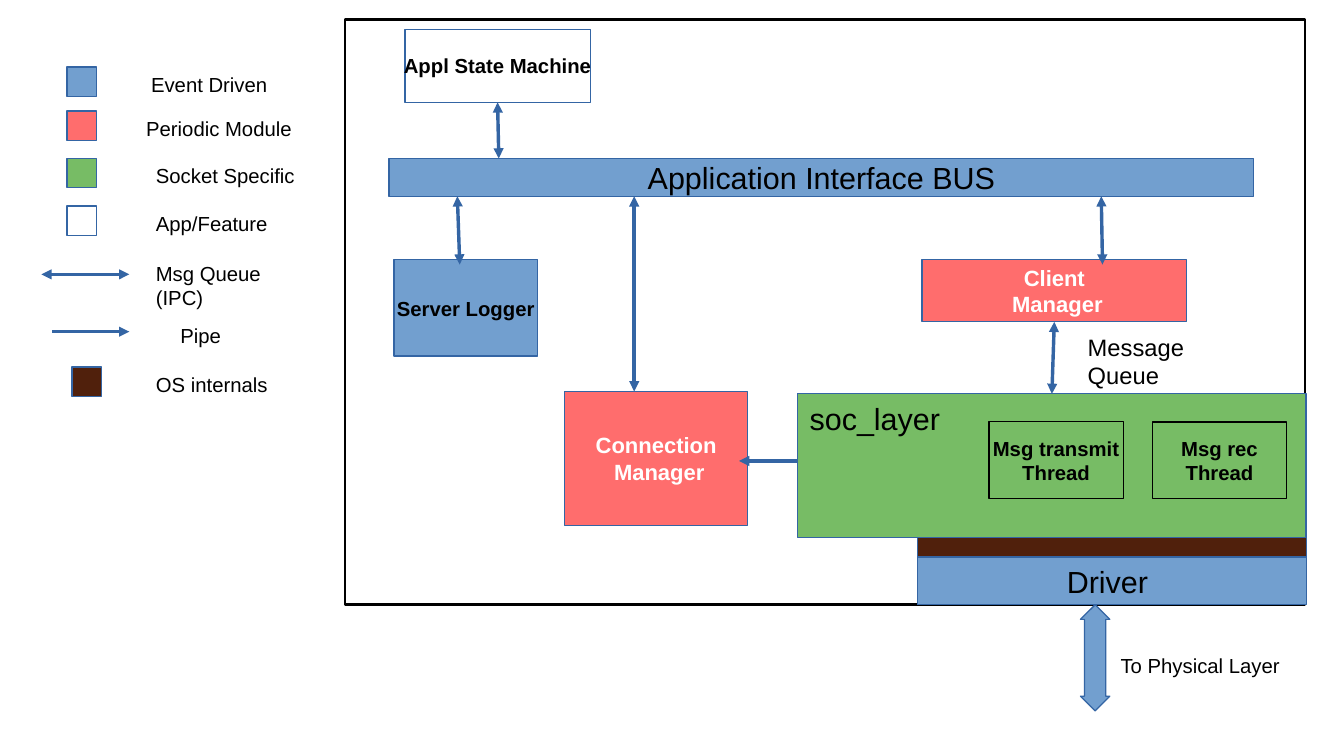
from lxml import etree
from pptx import Presentation
from pptx.dml.color import RGBColor
from pptx.enum import shapes, text
from pptx.oxml.ns import qn
from pptx.util import Inches, Pt

BLUE = RGBColor(0x72, 0x9F, 0xCF)
EDGE = RGBColor(0x34, 0x65, 0xA4)
RED = RGBColor(0xFF, 0x6D, 0x6D)
GREEN = RGBColor(0x77, 0xBC, 0x65)
BROWN = RGBColor(0x50, 0x20, 0x0C)
WHITE = RGBColor(0xFF, 0xFF, 0xFF)
BLACK = RGBColor(0, 0, 0)
RECT = shapes.MSO_SHAPE.RECTANGLE
CENTER, LEFT = text.PP_ALIGN.CENTER, text.PP_ALIGN.LEFT
MIDDLE, TOP = text.MSO_ANCHOR.MIDDLE, text.MSO_ANCHOR.TOP


def write(sp, words, size, color=BLACK, bold=False, align=LEFT, anchor=TOP):
    """Fill a shape's text frame, one paragraph per line of words."""
    tf = sp.text_frame
    tf.text = words
    tf.word_wrap = align == LEFT
    tf.vertical_anchor = anchor
    for p in tf.paragraphs:
        p.alignment = align
        for r in p.runs:
            r.font.name = "Arial"
            r.font.size = Pt(size)
            r.font.bold = bold
            r.font.color.rgb = color


def add_block(s, box, x, y, w, h, fill, edge=EDGE, width=0, kind=RECT):
    """Add a filled shape at an offset from the corner of the box."""
    sp = s.shapes.add_shape(kind, Inches(box[0] + x), Inches(box[1] + y), Inches(w), Inches(h))
    sp.shadow.inherit = False
    sp.fill.solid()
    sp.fill.fore_color.rgb = fill
    sp.line.color.rgb = edge
    sp.line.width = Pt(width)
    return sp


def add_module(s, box, x, y, w, h, fill, words, size=12, color=BLACK, bold=True, edge=EDGE, width=0):
    """Add a block with centred text."""
    sp = add_block(s, box, x, y, w, h, fill, edge, width)
    write(sp, words, size, color, bold, CENTER, MIDDLE)
    return sp


def add_label(s, box, x, y, w, h, words, size=12):
    """Add a plain wrapped text box."""
    sp = s.shapes.add_textbox(Inches(box[0] + x), Inches(box[1] + y), Inches(w), Inches(h))
    write(sp, words, size)


def add_arrow(s, box, x1, y1, x2, y2, both=True):
    """Add a thin straight arrow, pointed at one or both ends."""
    cx = s.shapes.add_connector(shapes.MSO_CONNECTOR.STRAIGHT, Inches(box[0] + x1), Inches(box[1] + y1),
                                Inches(box[0] + x2), Inches(box[1] + y2))
    cx.line.color.rgb = EDGE
    cx.line.width = Pt(0)
    ln = cx.line._get_or_add_ln()
    for end in ("headEnd", "tailEnd") if both else ("tailEnd",):
        etree.SubElement(ln, qn("a:" + end), type="triangle")
    etree.SubElement(cx._element.spPr, qn("a:effectLst"))
    return cx


def add_legend(s, box):
    """Explain the fill colours and the arrows."""
    for x, y, fill, label_x, words in (
        (0.21, 0, BLUE, 0.8, "Event Driven"),
        (0.21, 0.36, RED, 0.76, "Periodic Module"),
        (0.21, 0.75, GREEN, 0.84, "Socket Specific"),
        (0.21, 1.14, WHITE, 0.84, "App/Feature"),
        (0.25, 2.46, BROWN, 0.84, "OS internals"),
    ):
        add_block(s, box, x, y + 0.01, 0.24, 0.24, fill)
        add_label(s, box, label_x, y, 1.42, 0.29, words)
    add_arrow(s, box, 0, 1.71, 0.72, 1.71)
    add_label(s, box, 0.84, 1.55, 1.34, 0.47, "Msg Queue (IPC)")
    add_arrow(s, box, 0.09, 2.18, 0.72, 2.18, both=False)
    add_label(s, box, 1.04, 2.06, 1.34, 0.31, "Pipe")


def add_architecture(s, box):
    """Draw the framed modules, their links and the physical layer exit."""
    add_block(s, box, 0, 0, box[2], box[3], WHITE, BLACK, 1.5)
    add_module(s, box, 4.69, 4.41, 3.19, 0.39, BLUE, "Driver ", 18, bold=False)
    exit_arrow = add_block(s, box, 6.03, 4.8, 0.24, 0.87, BLUE, kind=shapes.MSO_SHAPE.UP_DOWN_ARROW)
    exit_arrow.adjustments[0] = 0.5
    exit_arrow.adjustments[1] = 0.73
    add_label(s, box, 6.26, 5.15, 1.61, 0.47, "To Physical Layer")
    add_block(s, box, 4.69, 4.25, 3.19, 0.16, BROWN)

    soc = add_block(s, box, 3.71, 3.07, 4.17, 1.18, GREEN)
    write(soc, "soc_layer", 18)
    for x, words, width in ((5.28, "Msg transmit\nThread", 0), (6.62, "Msg rec\nThread", 1)):
        add_module(s, box, x, 3.3, 1.1, 0.63, GREEN, words, edge=BLACK, width=width)

    add_module(s, box, 1.8, 3.05, 1.5, 1.1, RED, "Connection\n Manager", 13, WHITE)
    client = add_module(s, box, 4.73, 1.97, 2.17, 0.51, RED, "Client\n Manager", 13, WHITE)
    machine = add_module(s, box, 0.49, 0.08, 1.52, 0.6, WHITE, "Appl State Machine")
    add_module(s, box, 0.4, 1.97, 1.18, 0.79, BLUE, "Server Logger")
    add_module(s, box, 0.36, 1.14, 7.09, 0.31, BLUE, "Application Interface BUS", 18, bold=False)
    add_label(s, box, 5.99, 2.52, 1.42, 0.54, "Message Queue", 14)

    for x1, x2, y2 in ((0.92, 0.94, 2.01), (2.37, 2.37, 3.05), (6.2, 6.21, 2.01)):
        add_arrow(s, box, x1, 1.45, x2, y2)
    add_arrow(s, box, 3.71, 3.62, 3.23, 3.62, both=False)
    add_arrow(s, box, 1.24, 0.68, 1.26, 1.14).begin_connect(machine, 2)
    queue = add_arrow(s, box, 5.81, 2.48, 5.79, 3.07)
    queue.begin_connect(client, 2)
    queue.end_connect(soc, 0)


def main():
    """Build and save the slide."""
    prs = Presentation()
    prs.slide_width, prs.slide_height = Inches(11.02), Inches(6.2)
    s = prs.slides.add_slide(prs.slide_layouts[6])
    add_architecture(s, (2.83, 0.16, 7.87, 4.8))
    add_legend(s, (0.34, 0.54))
    prs.save("out.pptx")


if __name__ == "__main__":
    main()
